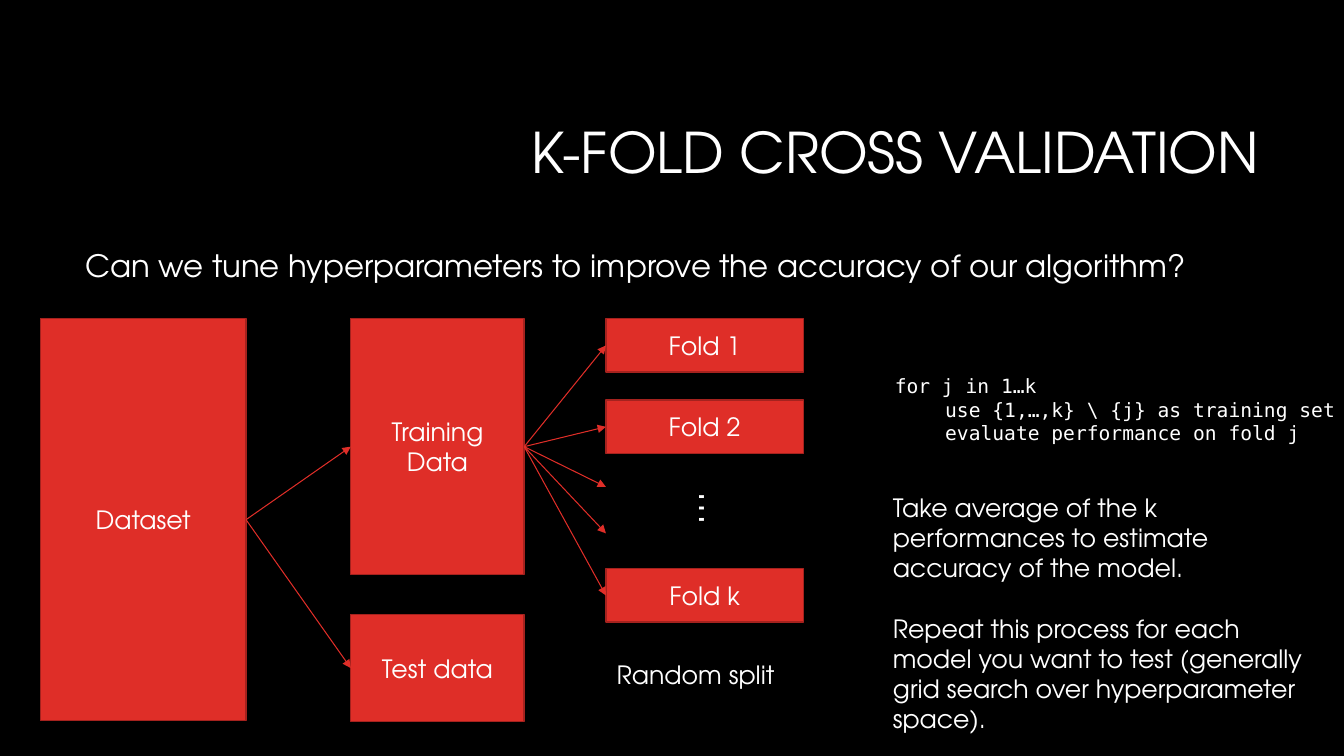
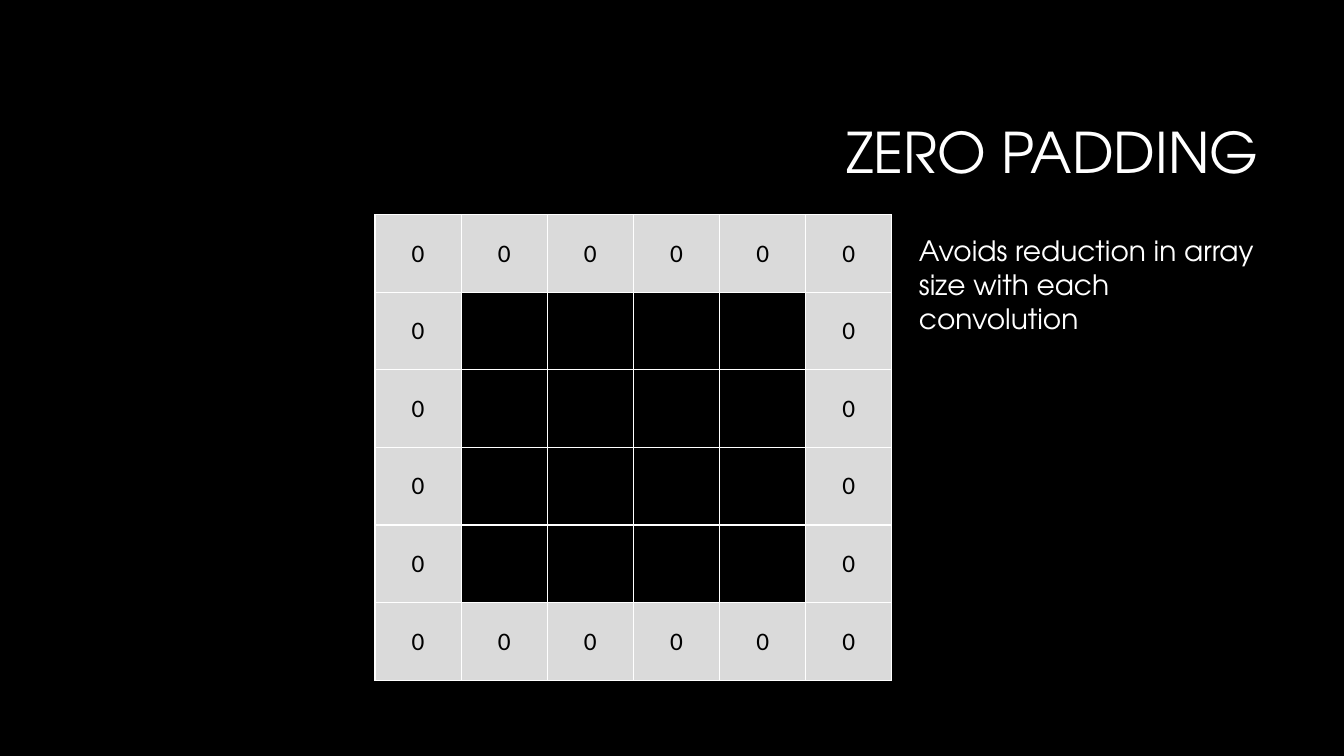
from lxml import etree
from pptx import Presentation
from pptx import util as u
from pptx.dml.color import RGBColor
from pptx.enum import shapes, text
from pptx.oxml import parse_xml
from pptx.oxml.ns import nsdecls, qn

# Shared look
BLACK, WHITE, RED, DARK_RED, GREY = "000000", "FFFFFF", "DF2E28", "A5221E", "DADADA"
SANS, MONO, TABLE_FONT = "TeX Gyre Adventor", "DejaVu Sans Mono", "Calibri"
PLAIN_TABLE = "{2D5ABB26-0587-4C30-8999-92F81FD0307C}"
TITLE_AREA = (8.05, 2.13, 23.93, 3.58)
RIGHT, LEFT = 3, 1

# Content of the cross validation slide; places in cm: left, top, width, height
QUESTION = "Can we tune hyperparameters to improve the accuracy of our algorithm?"
QUESTION_AREA = (1.9, 6.1, 29.31, 1.63)
TOP = 8.03
DATA_BOXES = {
    "Dataset": (1.02, TOP, 5.18, 10.13),
    "Training Data": (8.84, TOP, 4.37, 6.45),
    "Test data": (8.84, 15.49, 4.37, 2.69),
}
FOLD_LEFT, FOLD_WIDTH, FOLD_HEIGHT = 15.27, 4.98, 1.35
FOLD_TOPS = {"Fold 1": TOP, "Fold 2": 10.08, "Fold k": 14.33}
OMITTED_FOLD_HEIGHTS = (12.27, 13.44)
CODE = ["for j in 1…k",
        "\tuse {1,…,k} \\ {j} as training set",
        "\tevaluate performance on fold j"]
REMARKS = ["Take average of the k performances to estimate accuracy of the model.",
           "Repeat this process for each model you want to test "
           "(generally grid search over hyperparameter space)."]

# Content of the padding slide
GRID_SIZE = 6
GRID_AREA = (9.45, 5.41, 13.03, 11.73)
PADDING_NOTE = "Avoids reduction in array size with each convolution"


def colour(hex_string):
    return RGBColor.from_string(hex_string)


def cm(*lengths):
    return [u.Cm(length) for length in lengths]


def place(shape, area):
    shape.left, shape.top, shape.width, shape.height = cm(*area)


def style_font(font, **values):
    font.color.rgb = colour(values.pop("color", WHITE))
    for name, value in {"name": SANS, "size": u.Pt(18), **values}.items():
        setattr(font, name, value)


def set_master_style(master, style_name, size, align, line_spacing):
    level = master.element.find(".//" + qn(f"p:{style_name}") + "/" + qn("a:lvl1pPr"))
    for child in list(level):
        level.remove(child)
    for name, value in {"algn": align, "marL": "0", "indent": "0"}.items():
        level.set(name, value)
    style = parse_xml(
        f'<a:lvl1pPr {nsdecls("a")}><a:lnSpc><a:spcPct val="{line_spacing}"/></a:lnSpc>'
        f'<a:buNone/><a:defRPr sz="{size * 100}"><a:solidFill><a:srgbClr val="{WHITE}"/>'
        f'</a:solidFill><a:latin typeface="{SANS}"/></a:defRPr></a:lvl1pPr>')
    level.extend(list(style))


def prepare_master(presentation):
    master = presentation.slide_master
    master.background.fill.solid()
    master.background.fill.fore_color.rgb = colour(BLACK)
    place(master.placeholders[0], TITLE_AREA)
    set_master_style(master, "titleStyle", 40, "r", 90000)
    set_master_style(master, "bodyStyle", 22, "l", 100000)


def add_slide(presentation, layout_name, title):
    slide = presentation.slides.add_slide(presentation.slide_layouts.get_by_name(layout_name))
    slide.shapes.title.text = title
    return slide


def add_text(slide, area, lines, gap=0, wrap=True, tab=None, **font):
    shape = slide.shapes.add_textbox(*cm(*area))
    frame = shape.text_frame
    frame.word_wrap = wrap
    frame.auto_size = text.MSO_AUTO_SIZE.SHAPE_TO_FIT_TEXT
    for index, line in enumerate(lines):
        paragraph = frame.paragraphs[0] if index == 0 else frame.add_paragraph()
        if tab:
            stops = etree.SubElement(paragraph._p.get_or_add_pPr(), qn("a:tabLst"))
            etree.SubElement(stops, qn("a:tab"), pos=str(u.Cm(tab)), algn="l")
        if index and gap:
            paragraph.space_before = u.Pt(gap)
        run = paragraph.add_run()
        run.text = line
        style_font(run.font, **font)
    return shape


def add_box(slide, label, area):
    box = slide.shapes.add_shape(shapes.MSO_SHAPE.RECTANGLE, *cm(*area))
    box.shadow.inherit = False
    box.fill.solid()
    box.fill.fore_color.rgb = colour(RED)
    box.line.color.rgb = colour(DARK_RED)
    box.line.width = u.Pt(1)
    box.text_frame.vertical_anchor = text.MSO_ANCHOR.MIDDLE
    paragraph = box.text_frame.paragraphs[0]
    paragraph.alignment = text.PP_ALIGN.CENTER
    run = paragraph.add_run()
    run.text = label
    style_font(run.font)
    return box


def add_arrow(slide, source, target=None, end=(0, 0)):
    """Runs from the right side of source to the left side of target, or to a free end."""
    arrow = slide.shapes.add_connector(shapes.MSO_CONNECTOR.STRAIGHT, 0, 0, *cm(*end))
    arrow.begin_connect(source, RIGHT)
    if target is not None:
        arrow.end_connect(target, LEFT)
    arrow.line.color.rgb = colour(RED)
    arrow.line.width = u.Pt(0.75)
    etree.SubElement(arrow.line._get_or_add_ln(), qn("a:tailEnd"), type="triangle")
    etree.SubElement(arrow._element.spPr, qn("a:effectLst"))


def format_cell(cell, is_padding):
    properties = cell._tc.get_or_add_tcPr()
    for side in ("lnL", "lnR", "lnT", "lnB"):
        properties.append(parse_xml(
            f'<a:{side} {nsdecls("a")} w="{u.Pt(1)}"><a:solidFill>'
            f'<a:srgbClr val="{WHITE}"/></a:solidFill></a:{side}>'))
    if not is_padding:
        cell.fill.background()
        return
    cell.fill.solid()
    cell.fill.fore_color.rgb = colour(GREY)
    cell.vertical_anchor = text.MSO_ANCHOR.MIDDLE
    paragraph = cell.text_frame.paragraphs[0]
    paragraph.alignment = text.PP_ALIGN.CENTER
    run = paragraph.add_run()
    run.text = "0"
    style_font(run.font, name=TABLE_FONT, color=BLACK)


def build_cross_validation(presentation):
    slide = add_slide(presentation, "Title and Content", "K-FOLD CROSS VALIDATION")
    question = slide.placeholders[1]
    place(question, QUESTION_AREA)
    question.text_frame.text = QUESTION

    # Data sets and folds
    dataset, training, test = [add_box(slide, label, area)
                               for label, area in DATA_BOXES.items()]
    folds = [add_box(slide, label, (FOLD_LEFT, top, FOLD_WIDTH, FOLD_HEIGHT))
             for label, top in FOLD_TOPS.items()]
    dots = add_text(slide, (17.3, 12.17, 1.45, 1.45), ["…"], size=u.Pt(28))
    dots.rotation = 90

    # Arrows
    for source, targets in ((dataset, (training, test)), (training, folds)):
        for target in targets:
            add_arrow(slide, source, target)
    for height in OMITTED_FOLD_HEIGHTS:
        add_arrow(slide, training, end=(FOLD_LEFT, height))

    # Explanations
    add_text(slide, (15.29, 16.48, 4.93, 1.02), ["Random split"])
    add_text(slide, (22.3, 9.3, 11.63, 2.06), CODE, wrap=False, tab=1.27,
             name=MONO, size=u.Pt(14))
    add_text(slide, (22.25, 12.27, 11.05, 6.4), REMARKS, gap=21.6)


def build_zero_padding(presentation):
    slide = add_slide(presentation, "Title Only", "ZERO PADDING")
    frame = slide.shapes.add_table(GRID_SIZE, GRID_SIZE, *cm(*GRID_AREA))
    table = frame.table
    table.first_row = table.horz_banding = False
    table._tbl.tblPr.find(qn("a:tableStyleId")).text = PLAIN_TABLE
    edges = (0, GRID_SIZE - 1)
    for row in range(GRID_SIZE):
        for column in range(GRID_SIZE):
            format_cell(table.cell(row, column), row in edges or column in edges)
    add_text(slide, (22.91, 5.77, 9.07, 2.82), [PADDING_NOTE], size=u.Pt(20))


def main():
    presentation = Presentation()
    presentation.slide_width, presentation.slide_height = cm(33.87, 19.05)
    prepare_master(presentation)
    build_cross_validation(presentation)
    build_zero_padding(presentation)
    presentation.save("out.pptx")


if __name__ == "__main__":
    main()
